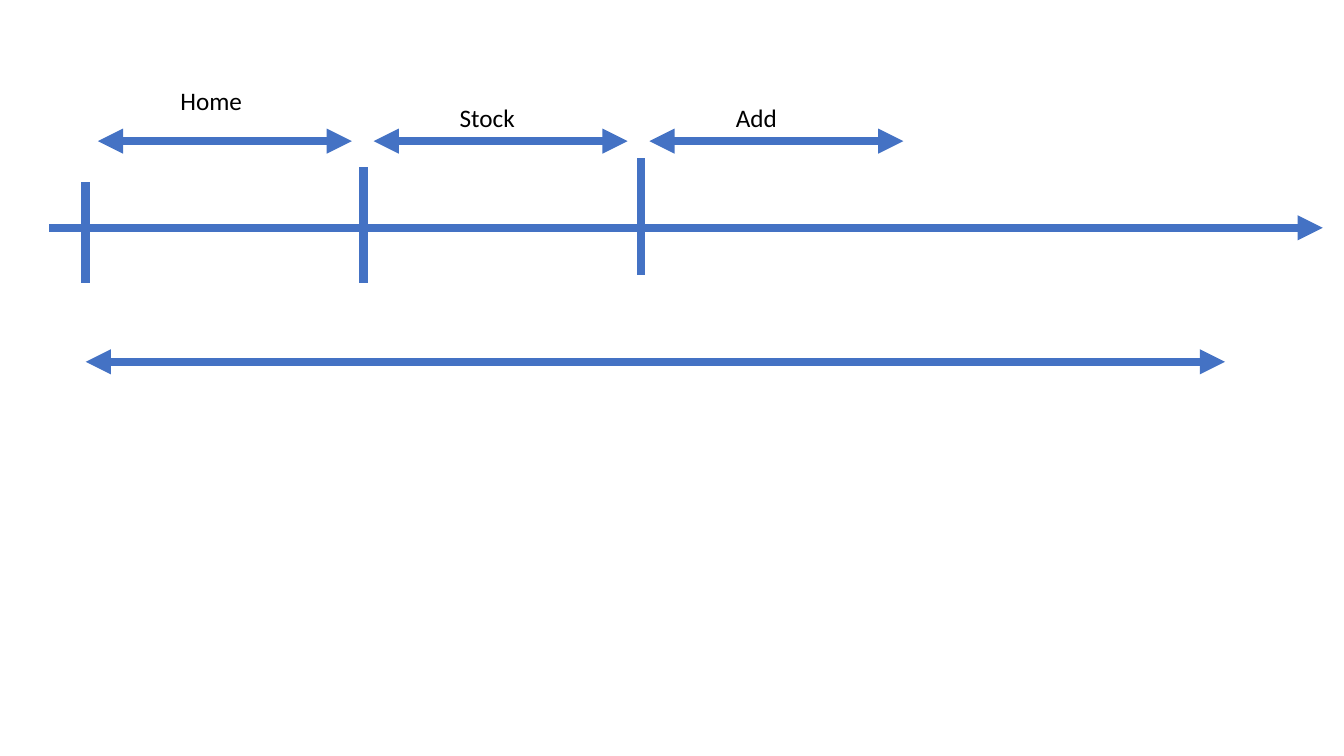
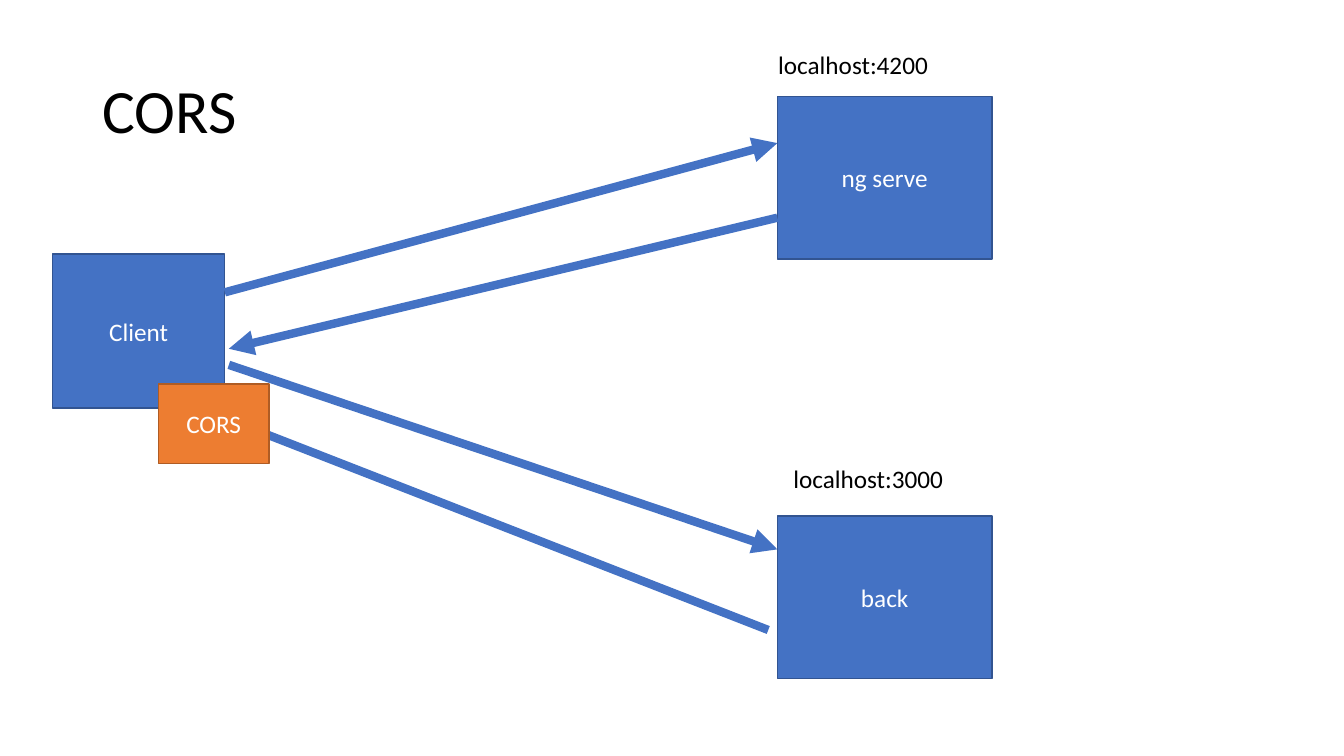
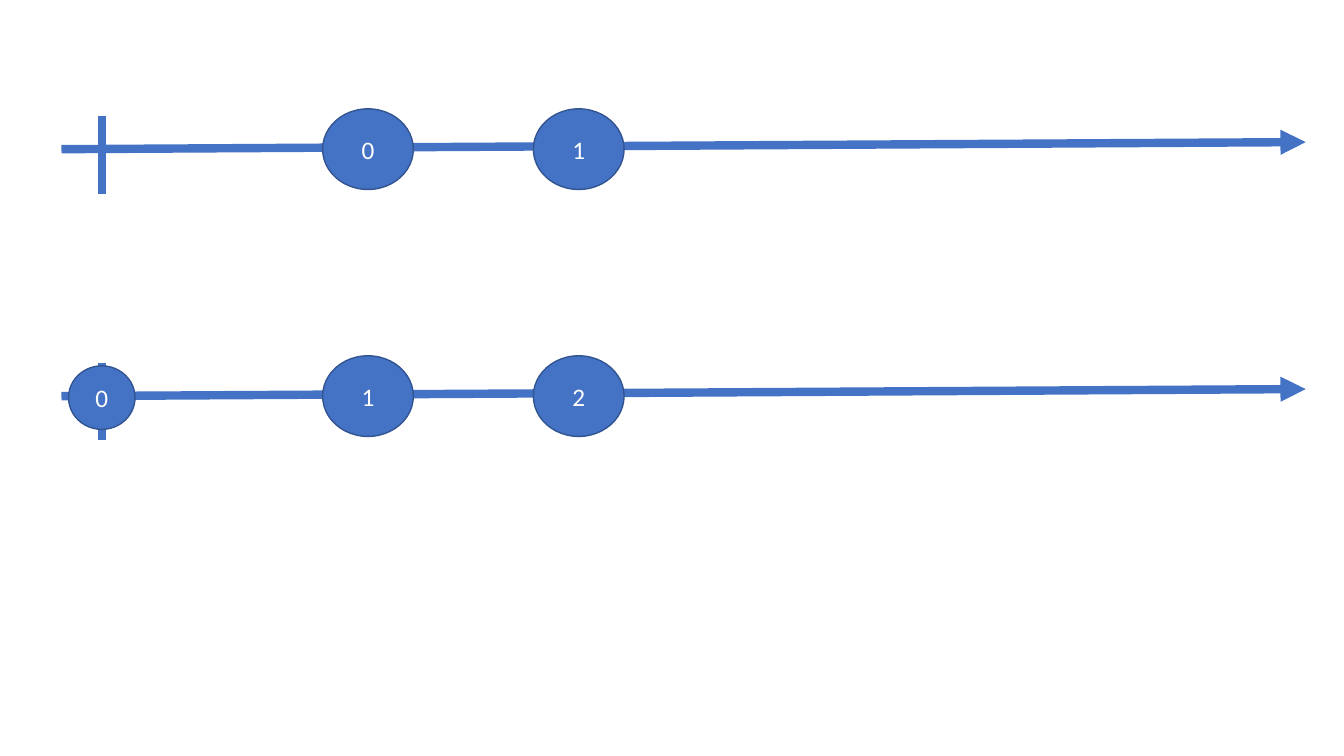
"""Build three slides: a page timeline, a CORS diagram and two indexed timelines."""
from dataclasses import dataclass

from lxml import etree
from pptx import Presentation
from pptx.dml.color import RGBColor
from pptx.enum.shapes import MSO_CONNECTOR, MSO_SHAPE
from pptx.enum.text import MSO_ANCHOR, MSO_AUTO_SIZE, PP_ALIGN
from pptx.oxml.ns import qn
from pptx.slide import Slide
from pptx.text.text import TextFrame
from pptx.util import Inches, Pt

STRAIGHT = MSO_CONNECTOR.STRAIGHT
RECTANGLE, OVAL = MSO_SHAPE.RECTANGLE, MSO_SHAPE.OVAL
MIDDLE = MSO_ANCHOR.MIDDLE
LEFT, CENTER = PP_ALIGN.LEFT, PP_ALIGN.CENTER
NO_FIT, GROW = MSO_AUTO_SIZE.NONE, MSO_AUTO_SIZE.SHAPE_TO_FIT_TEXT
TAIL = ("tailEnd",)
BOTH = ("headEnd", "tailEnd")
BLANK_LAYOUT = 6


@dataclass(frozen=True)
class Theme:
    font: str = "Calibri"
    title_size: int = 44
    body_size: int = 18
    line_width: int = 6
    outline_width: int = 1
    blue: RGBColor = RGBColor(0x44, 0x72, 0xC4)
    dark_blue: RGBColor = RGBColor(0x32, 0x54, 0x91)
    orange: RGBColor = RGBColor(0xED, 0x7D, 0x31)
    dark_orange: RGBColor = RGBColor(0xAF, 0x5C, 0x24)
    black: RGBColor = RGBColor(0, 0, 0)
    white: RGBColor = RGBColor(255, 255, 255)


THEME = Theme()


@dataclass(frozen=True)
class Node:
    text: str
    left: float
    top: float
    width: float
    height: float
    kind: int = RECTANGLE
    fill: RGBColor = THEME.blue
    outline: RGBColor = THEME.dark_blue


@dataclass(frozen=True)
class Label:
    text: str
    left: float
    top: float
    width: float
    height: float = 0.4


@dataclass(frozen=True)
class Line:
    x1: float
    y1: float
    x2: float
    y2: float
    ends: tuple[str, ...] = ()


@dataclass(frozen=True)
class Segment:
    label: Label
    tick_top: float
    tick_bottom: float


def write_text(frame: TextFrame, text: str, size: int, color: RGBColor,
               alignment: PP_ALIGN = LEFT) -> None:
    paragraph = frame.paragraphs[0]
    paragraph.alignment = alignment
    run = paragraph.add_run()
    run.text = text
    for name, value in {"name": THEME.font, "size": Pt(size)}.items():
        setattr(run.font, name, value)
    run.font.color.rgb = color


def draw_line(slide: Slide, line: Line) -> None:
    connector = slide.shapes.add_connector(
        STRAIGHT, *map(Inches, (line.x1, line.y1, line.x2, line.y2)))
    connector.line.color.rgb = THEME.blue
    connector.line.width = Pt(THEME.line_width)
    outline = connector.line._get_or_add_ln()
    for end in line.ends:
        etree.SubElement(outline, qn(f"a:{end}"), type="triangle")
    etree.SubElement(connector._element.spPr, qn("a:effectLst"))


def draw_node(slide: Slide, node: Node) -> None:
    shape = slide.shapes.add_shape(
        node.kind, *map(Inches, (node.left, node.top, node.width, node.height)))
    shape.shadow.inherit = False
    shape.fill.solid()
    shape.fill.fore_color.rgb = node.fill
    shape.line.color.rgb = node.outline
    shape.line.width = Pt(THEME.outline_width)
    shape.text_frame.vertical_anchor = MIDDLE
    write_text(shape.text_frame, node.text, THEME.body_size, THEME.white, CENTER)


def draw_label(slide: Slide, label: Label) -> None:
    box = slide.shapes.add_textbox(
        *map(Inches, (label.left, label.top, label.width, label.height)))
    frame_format = {"word_wrap": False, "auto_size": GROW}
    for name, value in frame_format.items():
        setattr(box.text_frame, name, value)
    write_text(box.text_frame, label.text, THEME.body_size, THEME.black)


def draw_title(slide: Slide, text: str) -> None:
    box = slide.shapes.add_textbox(*map(Inches, (0.92, 0.4, 11.5, 1.45)))
    frame_format = {"word_wrap": True, "auto_size": NO_FIT, "vertical_anchor": MIDDLE}
    for name, value in frame_format.items():
        setattr(box.text_frame, name, value)
    write_text(box.text_frame, text, THEME.title_size, THEME.black)
    box.text_frame.paragraphs[0].line_spacing = 0.9


def build_page_timeline(slide: Slide) -> None:
    segments = (
        Segment(Label("Home", 1.69, 0.8, 0.82), 1.81, 2.81),
        Segment(Label("Stock", 4.46, 0.97, 0.75), 1.66, 2.81),
        Segment(Label("Add", 7.2, 0.97, 0.61), 1.57, 2.73),
    )
    draw_line(slide, Line(0.49, 2.26, 13.12, 2.26, TAIL))
    for index, segment in enumerate(segments):
        tick = 0.85 + 2.755 * index
        start = 0.97 + 2.735 * index
        draw_line(slide, Line(tick, segment.tick_top, tick, segment.tick_bottom))
        draw_line(slide, Line(start, 1.4, start + 2.52, 1.4, BOTH))
        draw_label(slide, segment.label)
    draw_line(slide, Line(0.85, 3.59, 12.15, 3.59, BOTH))


def build_cors_diagram(slide: Slide) -> None:
    draw_title(slide, "CORS")
    for node in (
        Node("Client", 0.52, 2.52, 1.71, 1.53),
        Node("ng serve", 7.71, 0.96, 2.13, 1.61),
        Node("back", 7.71, 5.12, 2.13, 1.61),
    ):
        draw_node(slide, node)
    for label in (
        Label("localhost:4200", 7.62, 0.44, 1.7),
        Label("localhost:3000", 7.77, 4.55, 1.7),
    ):
        draw_label(slide, label)
    for line in (
        Line(2.23, 2.9, 7.71, 1.42, TAIL),
        Line(7.71, 2.16, 2.27, 3.46, TAIL),
        Line(2.27, 3.62, 7.71, 5.45, TAIL),
        Line(7.62, 6.25, 2.03, 4.07, TAIL),
    ):
        draw_line(slide, line)
    draw_node(slide, Node("CORS", 1.57, 3.81, 1.1, 0.79,
                          fill=THEME.orange, outline=THEME.dark_orange))


def build_indexed_timelines(slide: Slide) -> None:
    for row in range(2):
        top = 1.08 + 2.45 * row
        draw_line(slide, Line(0.61, top + 0.4, 12.95, top + 0.33, TAIL))
        draw_line(slide, Line(1.01, top + 0.07, 1.01, top + 0.84))
        for column in range(2):
            left = 3.2 + 2.09 * column
            draw_node(slide, Node(str(row + column), left, top, 0.9, 0.8, OVAL))
    draw_node(slide, Node("0", 0.68, 3.63, 0.66, 0.63, OVAL))


def main() -> None:
    presentation = Presentation()
    presentation.slide_width = Inches(13.33)
    presentation.slide_height = Inches(7.5)
    layout = presentation.slide_layouts[BLANK_LAYOUT]
    for build in (build_page_timeline, build_cors_diagram, build_indexed_timelines):
        build(presentation.slides.add_slide(layout))
    presentation.save("out.pptx")


if __name__ == "__main__":
    main()
